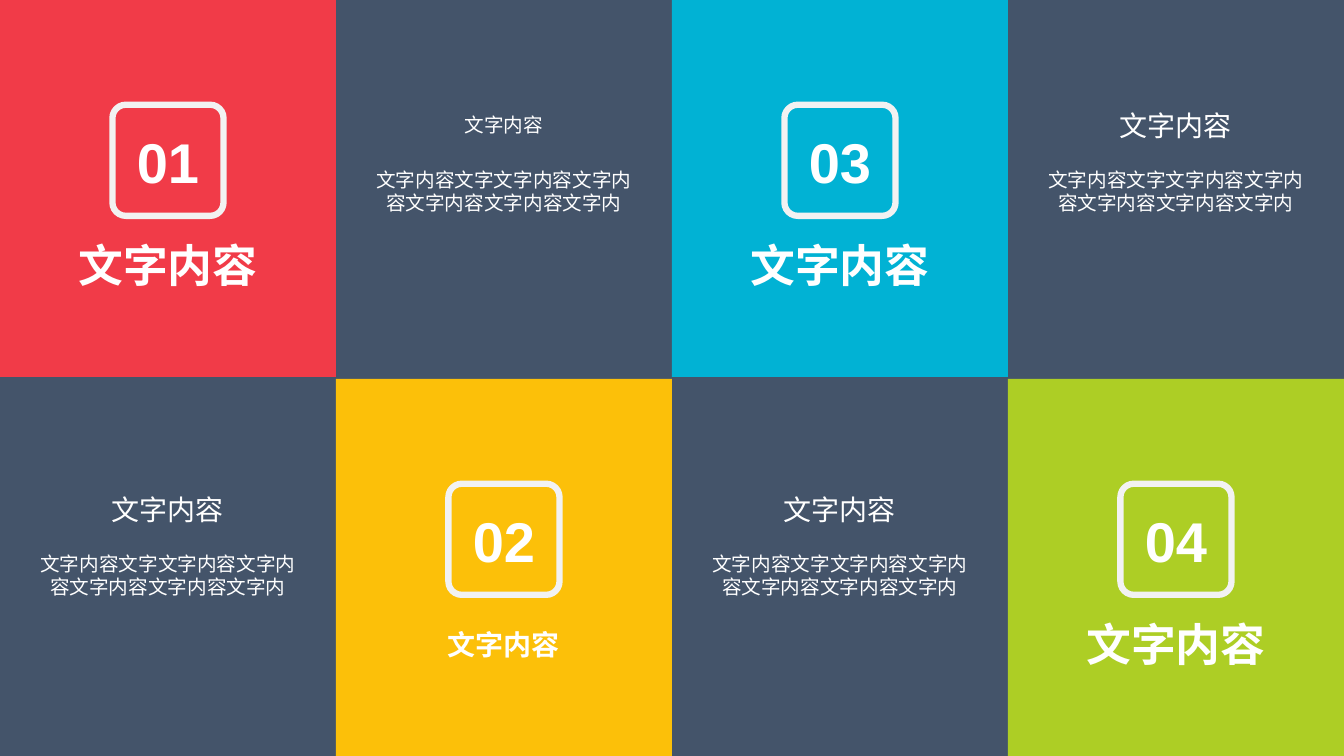
from dataclasses import dataclass

from pptx import Presentation
from pptx.dml import color
from pptx.enum import shapes, text
from pptx.util import Cm, Pt

COLORS = {
    "slate": "44546A",
    "red": "F13B48",
    "yellow": "FCC009",
    "cyan": "01B2D4",
    "green": "ADCE25",
    "frame": "F2F2F2",
    "white": "FFFFFF",
}
COLUMN_WIDTH = 33.87 / 4
TILE_HEIGHT = 9.5
TILE_ROW_STEP = 9.55
DETAIL_ROW_STEP = 9.68
LABEL = "文字内容"
BODY = "文字内容文字文字内容文字内容文字内容文字内容文字内"


@dataclass(frozen=True)
class Section:
    number: str
    color: str
    row: int
    caption_size: int
    heading_size: int


@dataclass(frozen=True)
class TextStyle:
    font: str
    size: int
    bold: bool = False
    anchor: text.MSO_ANCHOR = text.MSO_ANCHOR.MIDDLE


SECTIONS = [
    Section("01", "red", 0, 32, 20),
    Section("02", "yellow", 1, 20, 14),
    Section("03", "cyan", 0, 32, 20),
    Section("04", "green", 1, 32, 20),
]


def rgb(name: str) -> color.RGBColor:
    return color.RGBColor.from_string(COLORS[name])


def add_block(slide, kind: shapes.MSO_SHAPE, center_x: float, top: float,
              width: float, height: float, fill: str):
    shape = slide.shapes.add_shape(
        kind, Cm(center_x - width / 2), Cm(top), Cm(width), Cm(height))
    shape.shadow.inherit = False
    shape.fill.solid()
    shape.fill.fore_color.rgb = rgb(fill)
    shape.line.fill.background()
    return shape


def add_label(slide, words: str, center_x: float, center_y: float,
              width: float, height: float, style: TextStyle) -> None:
    box = slide.shapes.add_textbox(
        Cm(center_x - width / 2), Cm(center_y - height / 2), Cm(width), Cm(height))
    frame = box.text_frame
    frame.word_wrap = True
    frame.auto_size = text.MSO_AUTO_SIZE.SHAPE_TO_FIT_TEXT
    frame.vertical_anchor = style.anchor
    paragraph = frame.paragraphs[0]
    paragraph.alignment = text.PP_ALIGN.CENTER
    run = paragraph.add_run()
    run.text = words
    run.font.name = style.font
    run.font.size = Pt(style.size)
    run.font.bold = style.bold
    run.font.color.rgb = rgb("white")


def label_height(size: int) -> float:
    return round(size * 0.0423 + 0.26, 2)


def add_tile(slide, section: Section, center_x: float) -> None:
    offset = section.row * TILE_ROW_STEP
    add_block(slide, shapes.MSO_SHAPE.RECTANGLE, center_x, offset,
              COLUMN_WIDTH, TILE_HEIGHT, section.color)
    badge = add_block(slide, shapes.MSO_SHAPE.ROUNDED_RECTANGLE, center_x,
                      offset + 2.64, 2.8, 2.8, section.color)
    badge.adjustments[0] = 0.12
    badge.line.color.rgb = rgb("frame")
    badge.line.width = Pt(4.5)
    add_label(slide, section.number, center_x, offset + 4.05, 2.4, 1.8,
              TextStyle("Arial", 40, bold=True))
    add_label(slide, LABEL, center_x, offset + 6.68, 6.14,
              label_height(section.caption_size),
              TextStyle("Arial", section.caption_size, bold=True))


def add_detail(slide, section: Section, center_x: float) -> None:
    offset = (1 - section.row) * DETAIL_ROW_STEP
    add_label(slide, LABEL, center_x, offset + 3.15, 6.58,
              label_height(section.heading_size),
              TextStyle("Manrope", section.heading_size))
    add_label(slide, BODY, center_x, offset + 4.82, 7.42, 1.45,
              TextStyle("Calibri", 14, anchor=text.MSO_ANCHOR.TOP))


def main() -> None:
    presentation = Presentation()
    presentation.slide_width = Cm(33.87)
    presentation.slide_height = Cm(19.05)
    slide = presentation.slides.add_slide(presentation.slide_layouts[6])
    slide.background.fill.solid()
    slide.background.fill.fore_color.rgb = rgb("slate")

    detail_columns = {"01": 0, "02": 1, "03": 2, "04": 3}
    for column, section in enumerate(SECTIONS):
        add_tile(slide, section, (column + 0.5) * COLUMN_WIDTH)
    for section in SECTIONS:
        add_detail(slide, section,
                   (detail_columns[section.number] + 0.5) * COLUMN_WIDTH)

    presentation.save("out.pptx")


if __name__ == "__main__":
    main()
